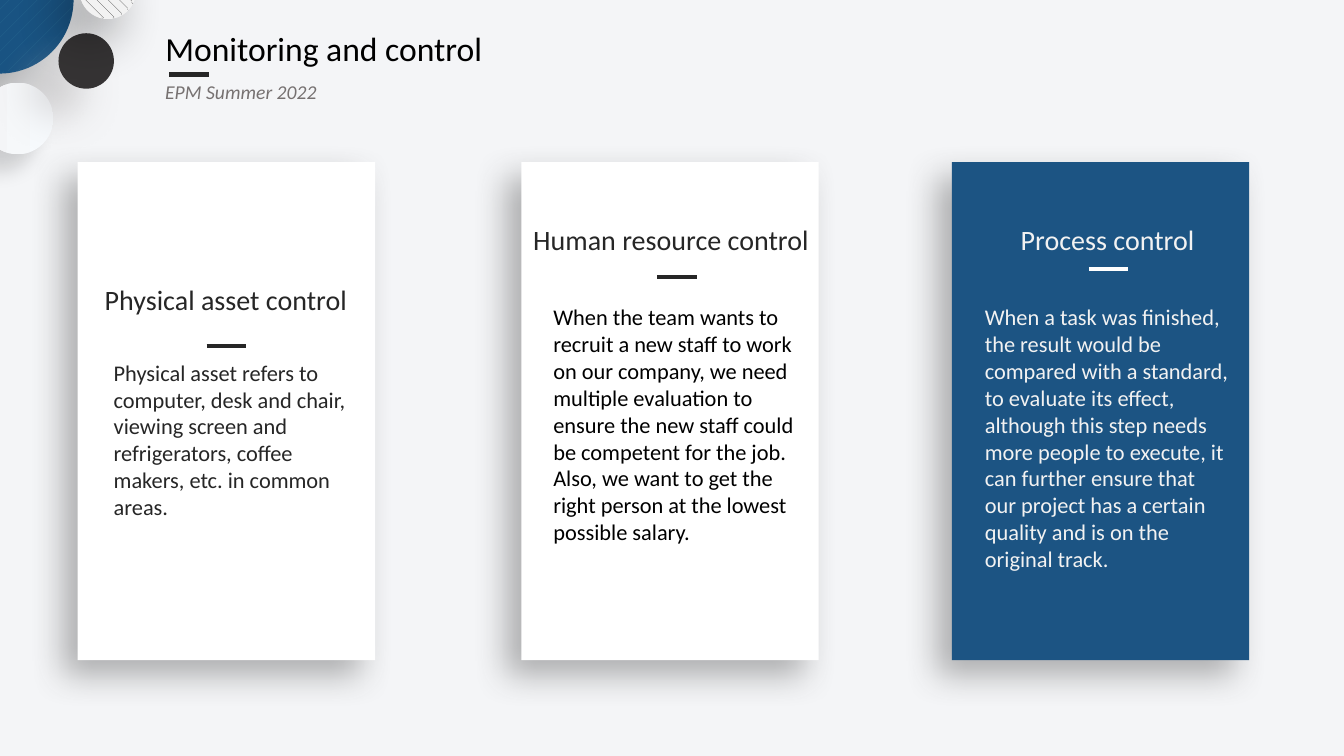
from dataclasses import dataclass

from lxml import etree
from pptx import Presentation
from pptx.dml.color import RGBColor
from pptx.enum import dml, shapes, text
from pptx.oxml.ns import qn
from pptx.util import Inches, Pt

FONT = "Calibri"
DARK, PALE = "262626", "F2F2F2"
CARD_TOP, CARD_WIDTH, CARD_HEIGHT = 1.61, 2.95, 4.94
BODY_WIDTH, RULE_WIDTH = 2.64, 0.39


@dataclass
class Shadow:
    color: str
    alpha: int
    blur: float
    dist: float


@dataclass
class Fill:
    color: str
    back: str = ""
    pattern: dml.MSO_PATTERN | None = None


@dataclass
class Circle:
    left: float
    top: float
    size: float
    fill: Fill
    shadow: Shadow | None = None
    rotation: float = 0


@dataclass
class Heading:
    text: str
    left: float
    top: float
    width: float


@dataclass
class Card:
    left: float
    fill: str
    heading: Heading
    rule: tuple[float, float]
    rule_color: str
    body: str
    body_at: tuple[float, float]
    body_height: float
    heading_color: str = DARK
    body_color: str = DARK


BLUE = Fill("26688F", "195382", dml.MSO_PATTERN.PERCENT_5)
WHITE = Fill("F7FAFD", "F4F5F7")
SHINGLE = Fill("404040", "F2F2F2", dml.MSO_PATTERN.SHINGLE)
CARD_SHADOW = Shadow("404040", 40, 24, 15)

CIRCLES = [
    Circle(-0.74, -0.74, 1.47, BLUE, Shadow("000000", 40, 52, 32)),
    Circle(-0.72, -0.72, 1.43, BLUE),
    Circle(-0.18, 0.82, 0.71, WHITE, Shadow("000000", 14, 14, 18)),
    Circle(-0.16, 0.83, 0.68, WHITE),
    Circle(0.58, 0.33, 0.55, Fill("353334"), Shadow("AFABAB", 40, 27, 29)),
    Circle(0.79, -0.37, 0.56, SHINGLE, Shadow("000000", 40, 38, 19), 11.1),
    Circle(0.79, -0.36, 0.54, SHINGLE, rotation=11.1),
]

CARDS = [
    Card(0.77, "FFFFFF", Heading("Physical asset control", 0.88, 2.75, 2.72),
         (2.05, 3.43), DARK,
         "Physical asset refers to computer, desk and chair, viewing screen and "
         "refrigerators, coffee makers, etc. in common areas.",
         (1.03, 3.51), 1.72),
    Card(5.17, "FFFFFF", Heading("Human resource control", 5.12, 2.16, 3.07),
         (6.52, 2.75), DARK,
         "When the team wants to recruit a new staff to work on our company, we "
         "need multiple evaluation to ensure the new staff could be competent for "
         "the job. Also, we want to get the right person at the lowest possible "
         "salary.",
         (5.39, 2.96), 2.52, body_color="000000"),
    Card(9.44, "1C5483", Heading("Process control", 9.85, 2.16, 2.27),
         (10.8, 2.67), "FFFFFF",
         "When a task was finished, the result would be compared with a standard, "
         "to evaluate its effect, although this step needs more people to execute, "
         "it can further ensure that our project has a certain quality and is on "
         "the original track.",
         (9.67, 2.96), 2.79, heading_color=PALE, body_color=PALE),
]


def rgb(color: str) -> RGBColor:
    return RGBColor.from_string(color)


def apply_fill(sp, fill: Fill) -> None:
    """Fill with a pattern, a two-colour gradient or one solid colour."""
    if fill.pattern is not None:
        sp.fill.patterned()
        sp.fill.pattern = fill.pattern
        sp.fill.fore_color.rgb = rgb(fill.color)
        sp.fill.back_color.rgb = rgb(fill.back)
    elif fill.back:
        sp.fill.gradient()
        sp.fill.gradient_angle = 180
        for stop, color in zip(sp.fill.gradient_stops, (fill.color, fill.back)):
            stop.color.rgb = rgb(color)
    else:
        sp.fill.solid()
        sp.fill.fore_color.rgb = rgb(fill.color)


def add_shadow(sp, shadow: Shadow) -> None:
    """Cast an outer shadow down and to the left."""
    effects = sp._element.spPr.find(qn("a:effectLst"))
    outer = etree.SubElement(
        effects, qn("a:outerShdw"), blurRad=str(Pt(shadow.blur)),
        dist=str(Pt(shadow.dist)), dir=str(135 * 60000), algn="tr", rotWithShape="0")
    color = etree.SubElement(outer, qn("a:srgbClr"), val=shadow.color)
    etree.SubElement(color, qn("a:alpha"), val=str(shadow.alpha * 1000))


def add_figure(s, kind: shapes.MSO_SHAPE, left: float, top: float, width: float,
               height: float, fill: Fill, shadow: Shadow | None = None):
    sp = s.shapes.add_shape(kind, Inches(left), Inches(top), Inches(width), Inches(height))
    apply_fill(sp, fill)
    sp.line.fill.background()
    sp.shadow.inherit = False
    if shadow:
        add_shadow(sp, shadow)
    return sp


def add_rule(s, left: float, top: float, color: str) -> None:
    line = s.shapes.add_connector(shapes.MSO_CONNECTOR.STRAIGHT, Inches(left), Inches(top),
                                  Inches(left + RULE_WIDTH), Inches(top))
    line.line.color.rgb = rgb(color)
    line.line.width = Pt(3)
    etree.SubElement(line._element.spPr, qn("a:effectLst"))


def write(sp, words: str, *, size: float, color: str, italic: bool = False,
          align=text.PP_ALIGN.LEFT, wrap: bool = True) -> None:
    tf = sp.text_frame
    tf.word_wrap = wrap
    tf.auto_size = text.MSO_AUTO_SIZE.SHAPE_TO_FIT_TEXT
    tf.vertical_anchor = text.MSO_ANCHOR.TOP
    p = tf.paragraphs[0]
    p.alignment = align
    r = p.add_run()
    r.text = words
    r.font.name, r.font.size, r.font.italic = FONT, Pt(size), italic
    r.font.color.rgb = rgb(color)


def add_text(s, left: float, top: float, width: float, height: float,
             words: str, **style) -> None:
    box = s.shapes.add_textbox(Inches(left), Inches(top), Inches(width), Inches(height))
    write(box, words, **style)


def add_card(s, card: Card) -> None:
    add_figure(s, shapes.MSO_SHAPE.RECTANGLE, card.left, CARD_TOP, CARD_WIDTH,
               CARD_HEIGHT, Fill(card.fill), CARD_SHADOW)
    h = card.heading
    add_text(s, h.left, h.top, h.width, 0.44, h.text, size=20,
             color=card.heading_color, align=text.PP_ALIGN.CENTER)
    add_rule(s, *card.rule, card.rule_color)
    add_text(s, *card.body_at, BODY_WIDTH, card.body_height, card.body,
             size=16, color=card.body_color)


def main() -> None:
    prs = Presentation()
    prs.slide_width, prs.slide_height = Inches(13.33), Inches(7.5)
    s = prs.slides.add_slide(prs.slide_layouts.get_by_name("Title Only"))
    s.background.fill.solid()
    s.background.fill.fore_color.rgb = rgb("F4F5F7")

    for c in CIRCLES:
        sp = add_figure(s, shapes.MSO_SHAPE.OVAL, c.left, c.top, c.size, c.size,
                        c.fill, c.shadow)
        sp.rotation = c.rotation

    title = s.shapes.title
    title.left, title.top = Inches(1.54), Inches(0.23)
    title.width, title.height = Inches(3.73), Inches(0.5)
    write(title, "Monitoring and control", size=24, color="000000")
    add_rule(s, 1.68, 0.74, DARK)
    add_text(s, 1.54, 0.74, 1.73, 0.34, "EPM Summer 2022", size=14,
             color="767171", italic=True, wrap=False)

    for card in CARDS:
        add_card(s, card)
    prs.save("out.pptx")


if __name__ == "__main__":
    main()
